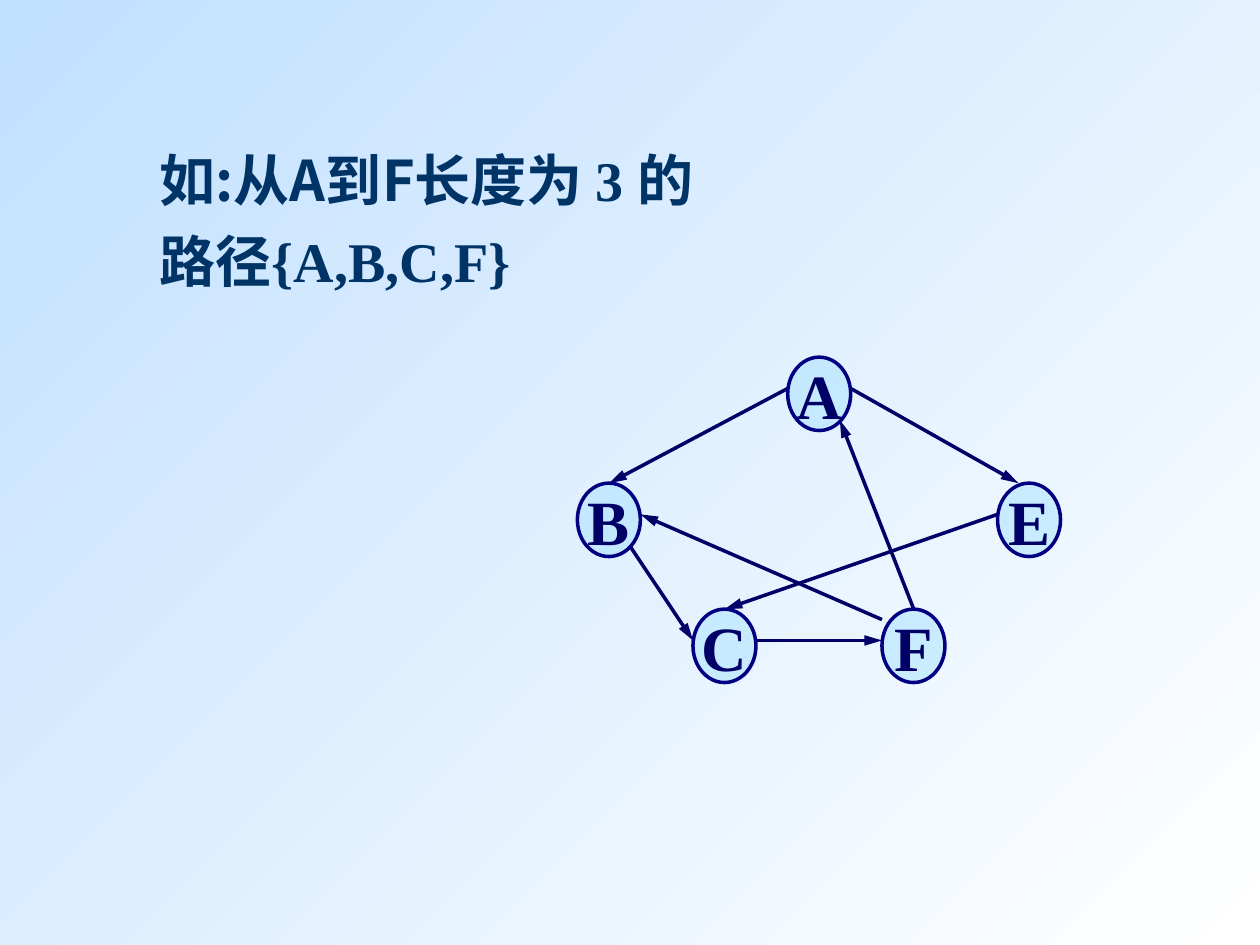
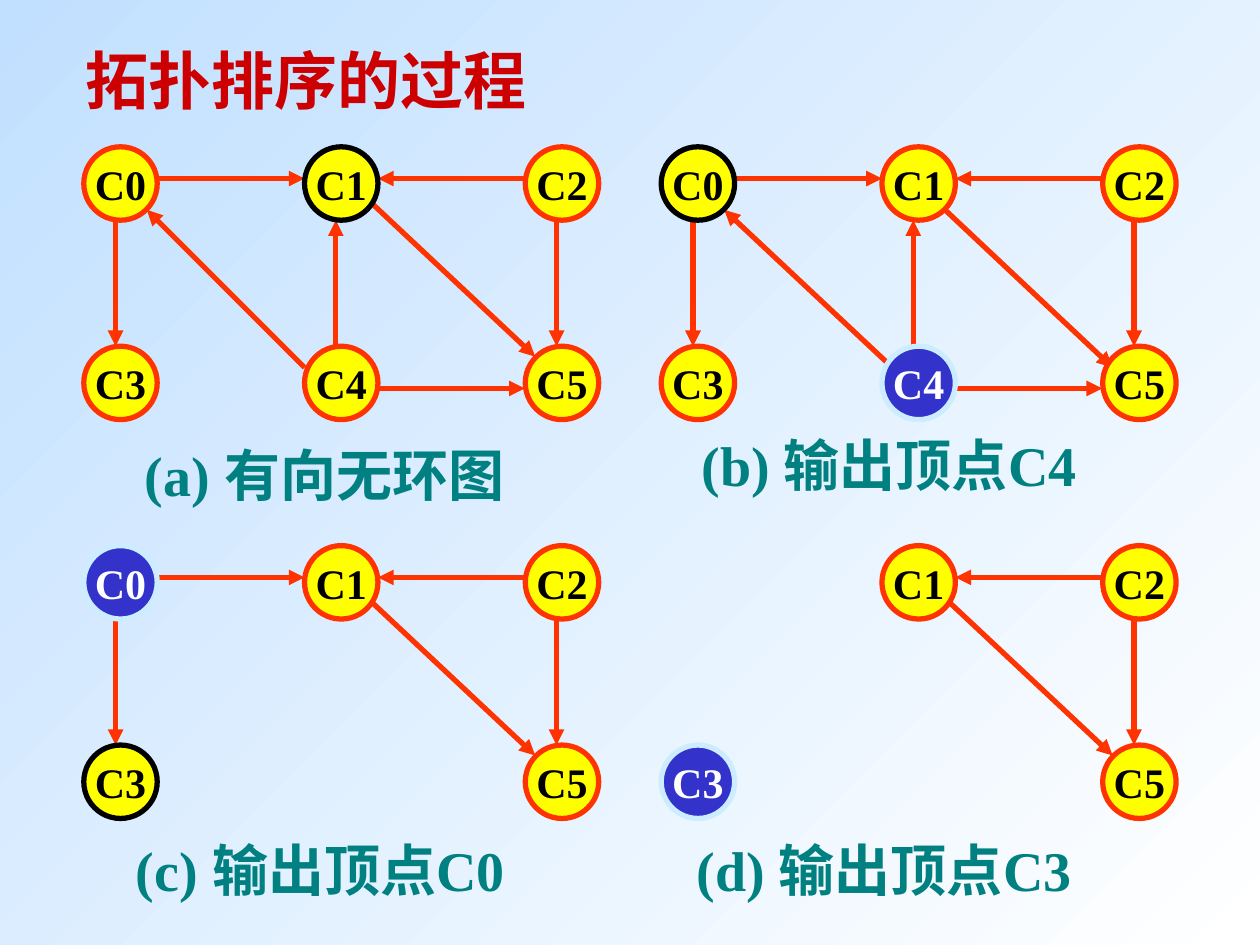
from dataclasses import dataclass

from lxml.etree import SubElement
from pptx import Presentation
from pptx.dml.color import RGBColor
from pptx.enum.shapes import MSO_CONNECTOR, MSO_SHAPE
from pptx.enum.text import MSO_ANCHOR, MSO_AUTO_SIZE, PP_ALIGN
from pptx.oxml.ns import qn
from pptx.util import Cm, Pt


@dataclass(frozen=True)
class VertexStyle:
    fill: str
    outline: str
    ink: str
    size: int
    weight: int
    opacity: int = 100


@dataclass(frozen=True)
class EdgeStyle:
    color: str
    weight: int
    head_length: str


@dataclass(frozen=True)
class Theme:
    latin: str = "Times New Roman"
    chinese: str = "Noto Sans CJK SC"
    gradient: tuple = ("FFFFFF", "C1E0FF")
    gradient_angle: int = 135
    title_ink: str = "CC0000"
    body_ink: str = "003366"
    caption_ink: str = "008080"
    title_size: int = 36
    body_size: int = 32
    path_vertex: VertexStyle = VertexStyle("A7E2FF", "000080", "000066", 36, 2, 50)
    path_edge: EdgeStyle = EdgeStyle("000066", 2, "lg")
    waiting: VertexStyle = VertexStyle("FFFF00", "FF3300", "000000", 24, 3)
    marked: VertexStyle = VertexStyle("FFFF00", "000000", "000000", 24, 3)
    removed: VertexStyle = VertexStyle("3333CC", "CCECFF", "FFFFFF", 24, 3)
    sort_edge: EdgeStyle = EdgeStyle("FF3300", 3, "med")


class Deck:
    """Draws themed graphs and text on the current slide."""

    def __init__(self, theme):
        self.theme = theme
        self.presentation = Presentation()
        self.presentation.slide_width = Cm(25.4)
        self.presentation.slide_height = Cm(19.05)
        self.slide = None

    def new_slide(self):
        self.slide = self.presentation.slides.add_slide(self.presentation.slide_layouts[6])
        backdrop = self.slide.background.fill
        backdrop.gradient()
        backdrop.gradient_angle = self.theme.gradient_angle
        for stop, color in zip(backdrop.gradient_stops, self.theme.gradient):
            stop.color.rgb = RGBColor.from_string(color)

    def run(self, paragraph, words, size, color, font=None):
        run = paragraph.add_run()
        run.text = words
        run.font.size = Pt(size)
        run.font.bold = True
        run.font.color.rgb = RGBColor.from_string(color)
        run.font.name = font or self.theme.latin
        east_asian = SubElement(run.font._element, qn("a:ea"))
        east_asian.set("typeface", self.theme.chinese)

    def text(self, box, runs, size, color, wrap=True, anchor=MSO_ANCHOR.TOP, spacing=None):
        frame = self.slide.shapes.add_textbox(*map(Cm, box)).text_frame
        frame.word_wrap = wrap
        if not wrap:
            frame.auto_size = MSO_AUTO_SIZE.SHAPE_TO_FIT_TEXT
        frame.vertical_anchor = anchor
        paragraph = frame.paragraphs[0]
        paragraph.line_spacing = spacing
        for words, font in runs:
            self.run(paragraph, words, size, color, font)

    def vertex(self, label, left, top, width, height, style):
        vertex = self.slide.shapes.add_shape(
            MSO_SHAPE.OVAL, Cm(left), Cm(top), Cm(width), Cm(height))
        vertex.shadow.inherit = False
        vertex.fill.solid()
        vertex.fill.fore_color.rgb = RGBColor.from_string(style.fill)
        if style.opacity < 100:
            color = vertex._element.spPr.find(qn("a:solidFill"))[0]
            SubElement(color, qn("a:alpha")).set("val", str(style.opacity * 1000))
        vertex.line.color.rgb = RGBColor.from_string(style.outline)
        vertex.line.width = Pt(style.weight)
        frame = vertex.text_frame
        frame.word_wrap = False
        frame.vertical_anchor = MSO_ANCHOR.MIDDLE
        frame.paragraphs[0].alignment = PP_ALIGN.CENTER
        self.run(frame.paragraphs[0], label, style.size, style.ink)

    def edge(self, start, end, style):
        edge = self.slide.shapes.add_connector(
            MSO_CONNECTOR.STRAIGHT, *map(Cm, (*start, *end)))
        edge.line.color.rgb = RGBColor.from_string(style.color)
        edge.line.width = Pt(style.weight)
        properties = edge._element.spPr
        arrowhead = SubElement(properties.find(qn("a:ln")), qn("a:tailEnd"))
        arrowhead.set("type", "triangle")
        arrowhead.set("w", "med")
        arrowhead.set("len", style.head_length)
        SubElement(properties, qn("a:effectLst"))

    def save(self):
        self.presentation.save("out.pptx")


PATH_VERTICES = {
    "A": (15.88, 7.2),
    "B": (11.64, 9.74),
    "E": (20.11, 9.74),
    "C": (13.97, 12.28),
    "F": (17.78, 12.28),
}
PATH_EDGES = [
    ((15.88, 7.83), (12.28, 9.74)),
    ((12.7, 11.01), (13.97, 12.91)),
    ((15.24, 12.91), (17.78, 12.91)),
    ((18.42, 12.28), (16.93, 8.47)),
    ((17.15, 7.83), (20.53, 9.74)),
    ((17.78, 12.49), (12.91, 10.37)),
    ((20.11, 10.37), (14.61, 12.28)),
]

DIAMETER = 1.48
COLUMN_STEP, ROW_STEP = 4.45, 4.02
PANEL_LEFT, PANEL_TOP = 1.69, 2.96
PANEL_STEP_X, PANEL_STEP_Y = 11.64, 8.04
SORT_EDGES = {
    ("C0", "C1"): ((1.48, 0.64), (4.45, 0.64)),
    ("C2", "C1"): ((8.89, 0.64), (5.93, 0.64)),
    ("C0", "C3"): ((0.64, 1.48), (0.64, 4.02)),
    ("C4", "C1"): ((5.08, 4.02), (5.08, 1.48)),
    ("C4", "C0"): ((4.45, 4.45), (1.27, 1.27)),
    ("C4", "C5"): ((5.93, 4.87), (8.89, 4.87)),
    ("C2", "C5"): ((9.53, 1.48), (9.53, 4.02)),
    ("C1", "C5"): ((5.72, 1.06), (9.1, 4.23)),
}
SHIFTED_EDGES = {
    ("C4", "C1"): ((5.08, 4.45), (5.08, 1.48)),
    ("C4", "C0"): ((4.66, 4.45), (1.27, 1.27)),
    ("C1", "C5"): ((5.72, 1.27), (9.1, 4.45)),
}


@dataclass(frozen=True)
class Panel:
    caption: str
    caption_box: tuple
    vertices: str
    marked: str = ""
    removed: str = ""
    shifted: bool = False


PANELS = [
    Panel("(a) 有向无环图", (2.67, 8.76, 8.03, 1.63), "012345", marked="1"),
    Panel("(b) 输出顶点C4", (13.89, 8.56, 8.61, 1.63), "012345", "0", "4", True),
    Panel("(c) 输出顶点C0", (2.49, 16.71, 8.61, 1.63), "01235", "3", "0"),
    Panel("(d) 输出顶点C3", (13.79, 16.71, 8.61, 1.63), "1235", removed="3"),
]


def draw_path_example(deck):
    theme = deck.theme
    deck.new_slide()
    for start, end in PATH_EDGES:
        deck.edge(start, end, theme.path_edge)
    for label, (left, top) in PATH_VERTICES.items():
        deck.vertex(label, left, top, 1.27, DIAMETER, theme.path_vertex)
    sentence = [
        ("如:从A到F长度为 ", theme.chinese),
        ("3 ", theme.latin),
        ("的路径", theme.chinese),
        ("{A,B,C,F}", theme.latin),
    ]
    deck.text((2.97, 2.54, 11.48, 3.51), sentence, theme.body_size, theme.body_ink, spacing=1.2)


def draw_panel(deck, panel, left, top):
    theme = deck.theme
    edges = {**SORT_EDGES, **(SHIFTED_EDGES if panel.shifted else {})}
    for (source, target), ends in edges.items():
        if source[1] in panel.vertices and target[1] in panel.vertices:
            start, end = [(left + x, top + y) for x, y in ends]
            deck.edge(start, end, theme.sort_edge)
    for number in panel.vertices:
        row, column = divmod(int(number), 3)
        style = theme.waiting
        if number == panel.marked:
            style = theme.marked
        elif number == panel.removed:
            style = theme.removed
        deck.vertex(f"C{number}", left + column * COLUMN_STEP, top + row * ROW_STEP,
                    DIAMETER, DIAMETER, style)
    deck.text(panel.caption_box, [(panel.caption, theme.latin)],
              theme.body_size, theme.caption_ink, wrap=False)


def draw_topological_sort(deck):
    theme = deck.theme
    deck.new_slide()
    deck.text((1.47, 0.64, 10.59, 1.9), [("拓扑排序的过程", theme.latin)],
              theme.title_size, theme.title_ink, anchor=MSO_ANCHOR.MIDDLE)
    for index, panel in enumerate(PANELS):
        row, column = divmod(index, 2)
        draw_panel(deck, panel, PANEL_LEFT + column * PANEL_STEP_X,
                   PANEL_TOP + row * PANEL_STEP_Y)


def main():
    deck = Deck(Theme())
    draw_path_example(deck)
    draw_topological_sort(deck)
    deck.save()


if __name__ == "__main__":
    main()
